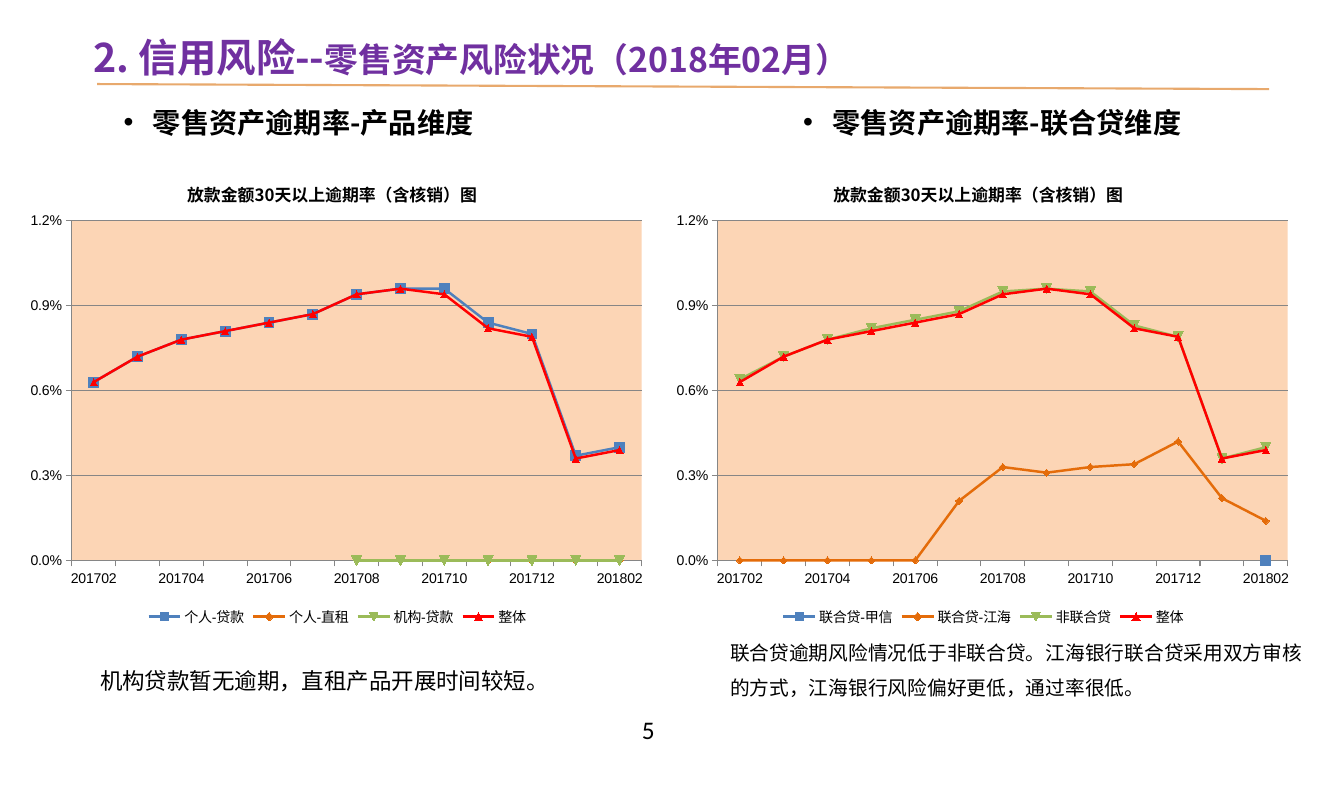
from pptx import Presentation
from pptx.chart.data import CategoryChartData
from pptx.dml.color import RGBColor
from pptx.enum.chart import (XL_CHART_TYPE as ChartType, XL_LEGEND_POSITION as LegendPosition,
                             XL_MARKER_STYLE as MarkerStyle, XL_TICK_MARK as TickMark)
from pptx.enum.shapes import MSO_CONNECTOR as Connector
from pptx.enum.text import MSO_ANCHOR as Anchor, MSO_AUTO_SIZE as AutoSize, PP_ALIGN as Align
from pptx.oxml import parse_xml
from pptx.oxml.ns import nsdecls, qn
from pptx.util import Inches, Pt

BLACK, PURPLE, SAND, PEACH, GRAY = "000000", "7030A0", "E8A96D", "FCD5B5", "868686"
SERIES_STYLES = [("4F81BD", 7), ("E46C0A", 5), ("9BBB59", 7), ("FF0000", 5)]
MONTHS = ["201702", "", "201704", "", "201706", "", "201708", "",
          "201710", "", "201712", "", "201802"]
CHART_TITLE = "放款金额30天以上逾期率（含核销）图"
OVERALL = [0.0063, 0.0072, 0.0078, 0.0081, 0.0084, 0.0087, 0.0094,
           0.0096, 0.0094, 0.0082, 0.0079, 0.0036, 0.0039]
PRODUCT_RATES = {
    "个人-贷款": OVERALL[:7] + [0.0096, 0.0096, 0.0084, 0.008, 0.0037, 0.004],
    "个人-直租": [None] * 9 + [0] * 4,
    "机构-贷款": [None] * 6 + [0] * 7,
    "整体": OVERALL,
}
JOINT_LOAN_RATES = {
    "联合贷-甲信": [None] * 12 + [0],
    "联合贷-江海": [0] * 5 + [0.0021, 0.0033, 0.0031, 0.0033, 0.0034, 0.0042, 0.0022, 0.0014],
    "非联合贷": [0.0064, 0.0072, 0.0078, 0.0082, 0.0085, 0.0088, 0.0095,
             0.0096, 0.0095, 0.0083, 0.0079, 0.0036, 0.004],
    "整体": OVERALL,
}


def color(value):
    """Turn a hex string into a colour."""
    return RGBColor.from_string(value)


def manual_layout(**fractions):
    """Return a chart layout element placed by fractions of the chart."""
    target = '<c:layoutTarget val="inner"/>' if "w" in fractions else ""
    modes = '<c:xMode val="edge"/><c:yMode val="edge"/>'
    values = "".join(f'<c:{key} val="{value}"/>' for key, value in fractions.items())
    return parse_xml(f'<c:layout {nsdecls("c")}><c:manualLayout>{target}{modes}{values}'
                     '</c:manualLayout></c:layout>')


class RiskSlide:
    """Hold the style and the current slide."""

    font_name = "Noto Sans CJK SC"
    chart_font = "Arial"

    def __init__(self, presentation):
        """Add a title-only slide."""
        self.slide = presentation.slides.add_slide(presentation.slide_layouts[5])

    def run(self, paragraph, text, size, bold=False, fill=BLACK, name=None):
        """Add one formatted run to a paragraph."""
        run = paragraph.add_run()
        run.text = text
        font = run.font
        font.size, font.bold, font.name = Pt(size), bold, name or self.font_name
        font.color.rgb = color(fill)
        east_asian = parse_xml(f'<a:ea {nsdecls("a")} typeface="{font.name}"/>')
        run._r.get_or_add_rPr().find(qn("a:latin")).addnext(east_asian)

    def title(self, left, top, width, height, parts):
        """Place the title and fill it from (text, size) parts."""
        shape = self.slide.shapes.title
        shape.left, shape.top = Inches(left), Inches(top)
        shape.width, shape.height = Inches(width), Inches(height)
        frame = shape.text_frame
        frame.word_wrap, frame.auto_size = True, AutoSize.NONE
        frame.vertical_anchor = Anchor.MIDDLE
        paragraph = frame.paragraphs[0]
        paragraph.alignment = Align.LEFT
        for text, size in parts:
            self.run(paragraph, text, size, True, PURPLE)

    def text(self, left, top, width, height, text, size, bold=False, name=None, spacing=1.0):
        """Add a text box and return it."""
        box = self.slide.shapes.add_textbox(Inches(left), Inches(top),
                                            Inches(width), Inches(height))
        box.text_frame.word_wrap = True
        paragraph = box.text_frame.paragraphs[0]
        paragraph.line_spacing = spacing
        self.run(paragraph, text, size, bold, name=name)
        return box

    def heading(self, left, text):
        """Add a bulleted column heading."""
        frame = self.text(left, 0.99, 4.45, 0.44, text, 20, True).text_frame
        frame.margin_left = frame.margin_right = Inches(0.05)
        frame.margin_top = frame.margin_bottom = Inches(0.05)
        properties = frame.paragraphs[0]._p.get_or_add_pPr()
        indent = Inches(0.29)
        properties.set("marL", str(indent))
        properties.set("indent", str(-indent))
        for bullet in ('a:buFont {} typeface="Arial"', 'a:buChar {} char="•"'):
            properties.append(parse_xml(f"<{bullet.format(nsdecls('a'))}/>"))

    def line(self, start, end):
        """Draw the rule below the title."""
        line = self.slide.shapes.add_connector(Connector.STRAIGHT, *map(Inches, start + end))
        line.line.color.rgb, line.line.width = color(SAND), Pt(1.5)
        line._element.spPr.append(parse_xml(f'<a:effectLst {nsdecls("a")}/>'))

    def chart(self, left, rates):
        """Add a line chart of monthly overdue rates."""
        data = CategoryChartData(number_format="0.0%")
        data.categories = MONTHS
        for name, values in rates.items():
            data.add_series(name, values)
        chart = self.slide.shapes.add_chart(ChartType.LINE_MARKERS, Inches(left), Inches(1.51),
                                            Inches(6.3), Inches(4.72), data).chart
        chart.font.size, chart.font.name = Pt(10), self.chart_font
        chart.font.color.rgb = color(BLACK)
        self.chart_frame(chart)
        self.axes(chart)
        chart.plots[0].vary_by_categories = False
        for series, (fill, size) in zip(chart.plots[0].series, SERIES_STYLES):
            series.smooth = False
            series.format.line.color.rgb, series.format.line.width = color(fill), Pt(1.75)
            marker = series.marker
            marker.style, marker.size = MarkerStyle.AUTOMATIC, size
            marker.format.fill.solid()
            marker.format.fill.fore_color.rgb = color(fill)
            marker.format.line.color.rgb = color(fill)

    def chart_frame(self, chart):
        """Set the title, legend and plot area of a chart."""
        chart.has_title = True
        title = chart.chart_title
        self.run(title.text_frame.paragraphs[0], CHART_TITLE, 12, True)
        title.include_in_layout = False
        chart.has_legend = True
        chart.legend.position = LegendPosition.BOTTOM
        chart.legend.include_in_layout = False
        plot_area = chart._chartSpace.chart.plotArea
        for element, layout, index in (
                (title._element, manual_layout(x=0.26, y=0.05), 1),
                (plot_area, manual_layout(x=0.084, y=0.142, w=0.893, h=0.711), 0)):
            for old in element.findall(qn("c:layout")):
                element.remove(old)
            element.insert(index, layout)
        plot_area.append(parse_xml(
            f'<c:spPr {nsdecls("c", "a")}><a:solidFill><a:srgbClr val="{PEACH}"/></a:solidFill>'
            '<a:ln><a:noFill/></a:ln></c:spPr>'))

    def axes(self, chart):
        """Style both axes of a chart."""
        for axis in (chart.category_axis, chart.value_axis):
            axis.major_tick_mark, axis.minor_tick_mark = TickMark.OUTSIDE, TickMark.NONE
            axis.format.line.color.rgb = color(GRAY)
        rate_axis = chart.value_axis
        rate_axis.minimum_scale, rate_axis.maximum_scale = 0, 0.012
        rate_axis.major_unit = 0.003
        rate_axis.has_major_gridlines = True
        rate_axis.major_gridlines.format.line.color.rgb = color(GRAY)
        rate_axis.tick_labels.number_format = "0.0%"
        rate_axis.tick_labels.number_format_is_linked = False


presentation = Presentation()
presentation.slide_width, presentation.slide_height = Inches(13.27), Inches(7.91)
page = RiskSlide(presentation)
page.text(6.24, 7, 0.86, 0.4, "5", 18, name="Calibri")
page.line((0.96, 0.83), (12.53, 0.88))
page.title(0.82, 0.28, 8.94, 0.57, [("2. 信用风险--", 28), ("零售资产风险状况（2018年02月）", 24)])
page.heading(1.17, "零售资产逾期率-产品维度")
page.heading(7.88, "零售资产逾期率-联合贷维度")
page.text(0.89, 6.4, 5.59, 0.5, "机构贷款暂无逾期，直租产品开展时间较短。", 16, spacing=1.5)
page.text(7.11, 6.16, 5.91, 0.81, "联合贷逾期风险情况低于非联合贷。江海银行联合贷采用双方审核的方式，"
          "江海银行风险偏好更低，通过率很低。", 14, spacing=1.5)
page.chart(0.18, PRODUCT_RATES)
page.chart(6.56, JOINT_LOAN_RATES)
presentation.save("out.pptx")
